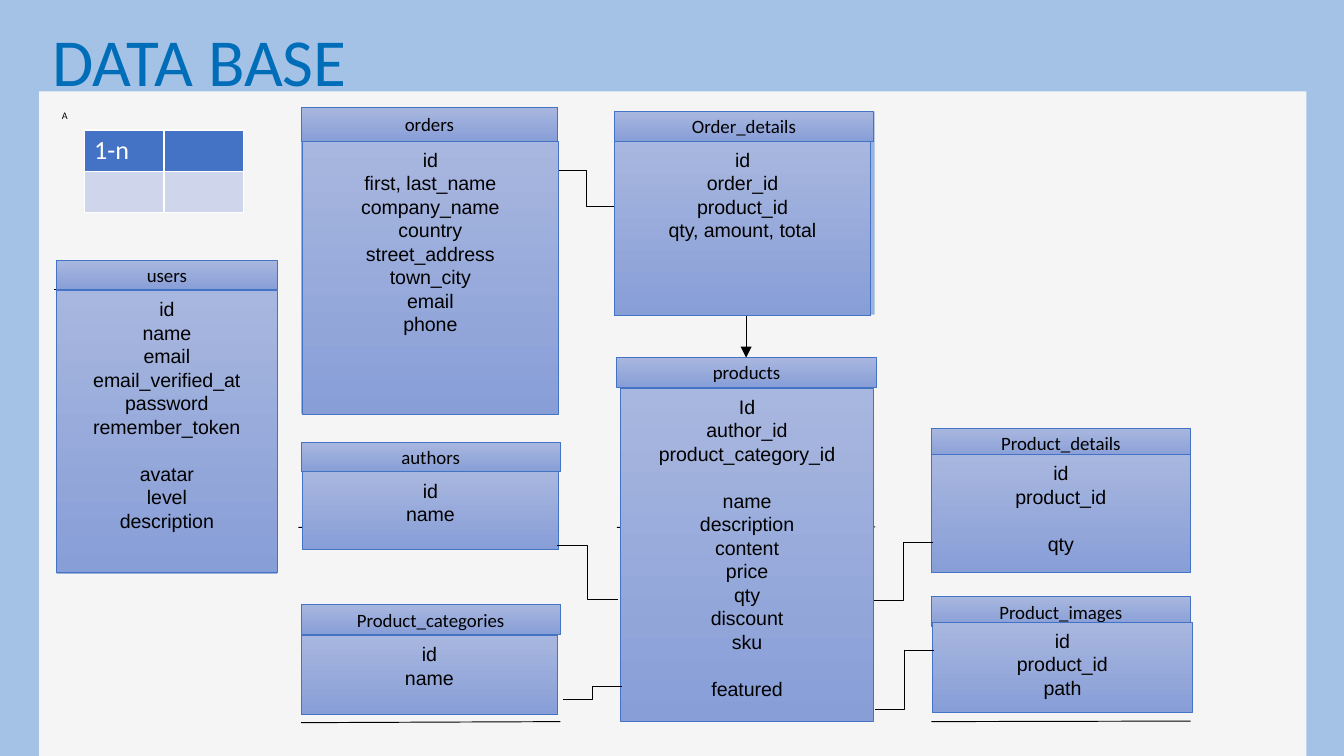
from lxml import etree
from pptx import Presentation
from pptx.dml.color import RGBColor
from pptx.enum.shapes import MSO_CONNECTOR, MSO_SHAPE
from pptx.enum.text import MSO_ANCHOR, PP_ALIGN
from pptx.oxml.ns import qn
from pptx.util import Cm, Pt

COLORS = {
    "frame": "A3C2E6", "panel": "F5F5F5", "title": "006DB8", "text": "000000",
    "white": "FFFFFF", "accent": "4472C4", "cell": "CFD5EA",
    "grad_top": "A8B7DF", "grad_bottom": "889ED7",
}

# name, header box, body box (left, top, width, height in cm), groups of fields
TABLES = [
    ("users", (1.07, 4.93, 4.17, 0.55), (1.07, 5.49, 4.17, 5.33),
     [["id", "name", "email", "email_verified_at", "password", "remember_token"],
      ["avatar", "level", "description"]]),
    ("orders", (5.69, 2.03, 4.85, 0.64), (5.72, 2.67, 4.83, 5.16),
     [["id", "first, last_name", "company_name", "country", "street_address",
       "town_city", "email", "phone"]]),
    ("Order_details", (11.61, 2.11, 4.9, 0.56), (11.61, 2.67, 4.85, 3.3),
     [["id", "order_id", "product_id", "qty, amount, total"]]),
    ("products", (11.66, 6.76, 4.9, 0.56), (11.73, 7.34, 4.78, 6.3),
     [["Id", "author_id", "product_category_id"],
      ["name", "description", "content", "price", "qty", "discount", "sku"],
      ["featured"]]),
    ("authors", (5.69, 8.36, 4.9, 0.56), (5.72, 8.92, 4.83, 1.47),
     [["id", "name"]]),
    ("Product_categories", (5.69, 11.43, 4.9, 0.56), (5.69, 12.01, 4.85, 1.5),
     [["id", "name"]]),
    ("Product_details", (17.6, 8.1, 4.9, 0.56), (17.6, 8.59, 4.9, 2.24),
     [["id", "product_id"], ["qty"]]),
    ("Product_images", (17.6, 11.28, 4.9, 0.56), (17.63, 11.76, 4.9, 1.7),
     [["id", "product_id", "path"]]),
]
BACKINGS = [(1.07, 4.93, 4.17, 5.92), (11.63, 2.11, 4.9, 3.84), (5.69, 2.03, 4.85, 5.79)]

# x1, y1, x2, y2 in cm
RULES = [
    (5.24, 5.48, 1.02, 5.48), (11.66, 9.97, 16.54, 9.96), (5.64, 9.97, 10.54, 9.96),
    (5.69, 13.66, 10.59, 13.64), (17.6, 13.64, 22.5, 13.63),
]
RELATIONS = [
    (10.57, 3.22, 11.61, 3.91), (10.52, 10.32, 11.68, 11.33), (10.64, 13.23, 11.76, 12.98),
    (16.54, 13.41, 17.65, 12.29), (16.51, 11.36, 17.63, 10.26),
]
DETAILS_TO_PRODUCTS = (14.1, 5.97, 14.1, 6.76)
LEGEND = [["1-n", ""], ["", ""]]


def rgb(name):
    return RGBColor.from_string(COLORS[name])


def add_run(p, text, size, font="Calibri", color="text"):
    r = p.add_run()
    r.text = text
    r.font.size = Pt(size)
    r.font.name = font
    r.font.color.rgb = rgb(color)
    return r


def add_rect(box, fill, alpha=None):
    sp = slide.shapes.add_shape(MSO_SHAPE.RECTANGLE, *map(Cm, box))
    sp.shadow.inherit = False
    sp.line.fill.background()
    sp.fill.solid()
    sp.fill.fore_color.rgb = rgb(fill)
    if alpha:
        clr = sp.fill._xPr.find(qn("a:solidFill"))[0]
        etree.SubElement(clr, qn("a:alpha"), val=str(alpha * 1000))
    return sp


def add_gradient_rect(box):
    sp = add_rect(box, "grad_top")
    sp.fill.gradient()
    sp.fill.gradient_angle = 270
    for stop, name in zip(sp.fill.gradient_stops, ("grad_top", "grad_bottom")):
        stop.color.rgb = rgb(name)
    sp.line.color.rgb = rgb("accent")
    sp.line.width = Pt(0.5)
    sp.text_frame.word_wrap = True
    return sp


def add_db_table(name, header, body, groups):
    tf = add_gradient_rect(header).text_frame
    tf.vertical_anchor = MSO_ANCHOR.MIDDLE
    p = tf.paragraphs[0]
    p.alignment = PP_ALIGN.CENTER
    add_run(p, name, 10.1)

    tf = add_gradient_rect(body).text_frame
    tf.vertical_anchor = MSO_ANCHOR.TOP
    for g, fields in enumerate(groups):
        for i, field in enumerate(fields):
            p = tf.paragraphs[0] if g == i == 0 else tf.add_paragraph()
            p.alignment = PP_ALIGN.CENTER
            if g and i == 0:
                p.space_before = Pt(12.6)
            add_run(p, field, 10.5, "Arial")


def add_line(points, kind=MSO_CONNECTOR.STRAIGHT):
    line = slide.shapes.add_connector(kind, *map(Cm, points))
    line.line.color.rgb = rgb("text")
    line.line.width = Pt(0.5)
    etree.SubElement(line._element.spPr, qn("a:effectLst"))
    return line


def place_text(sp, box, text, size, color, anchor):
    sp.left, sp.top, sp.width, sp.height = map(Cm, box)
    tf = sp.text_frame
    tf.word_wrap = True
    tf.vertical_anchor = anchor
    p = tf.paragraphs[0]
    p.alignment = PP_ALIGN.LEFT
    add_run(p, text, size, color=color)
    return tf


prs = Presentation()
prs.slide_width, prs.slide_height = Cm(25.4), Cm(14.29)
slide = prs.slides.add_slide(prs.slide_layouts[5])

add_rect((0, 0, 25.4, 14.29), "frame")
add_rect((0.74, 1.73, 23.95, 12.56), "panel")

title = slide.shapes.title
place_text(title, (0.74, 0.23, 12.34, 1.8), "DATA BASE", 36, "title", MSO_ANCHOR.TOP)
slide.shapes._spTree.append(title._element)  # bring in front of the panel

mark = slide.shapes.add_textbox(0, 0, 0, 0)
tf = place_text(mark, (1.07, 2.03, 0.36, 0.3), "A", 5.4, "text", MSO_ANCHOR.MIDDLE)
tf.margin_left = tf.margin_right = Cm(0.1)
tf.margin_top = tf.margin_bottom = 0

legend = slide.shapes.add_table(2, 2, Cm(1.6), Cm(2.46), Cm(3), Cm(1.56)).table
for row, texts in enumerate(LEGEND):
    legend.rows[row].height = Cm(0.78)
    for col, text in enumerate(texts):
        cell = legend.cell(row, col)
        cell.margin_left = cell.margin_right = Cm(0.18)
        cell.margin_top = cell.margin_bottom = Cm(0.09)
        cell.fill.solid()
        cell.fill.fore_color.rgb = rgb("cell" if row else "accent")
        p = cell.text_frame.paragraphs[0]
        if text:
            add_run(p, text, 14, color="white").font.bold = False
        else:
            p.font.size = Pt(14)

for box in BACKINGS:
    add_rect(box, "accent", alpha=50)
for points in RULES:
    add_line(points)
for table in TABLES:
    add_db_table(*table)
for points in RELATIONS:
    add_line(points, MSO_CONNECTOR.ELBOW)

arrow = add_line(DETAILS_TO_PRODUCTS)
etree.SubElement(arrow.line._get_or_add_ln(), qn("a:tailEnd"), type="triangle")

prs.save("out.pptx")
